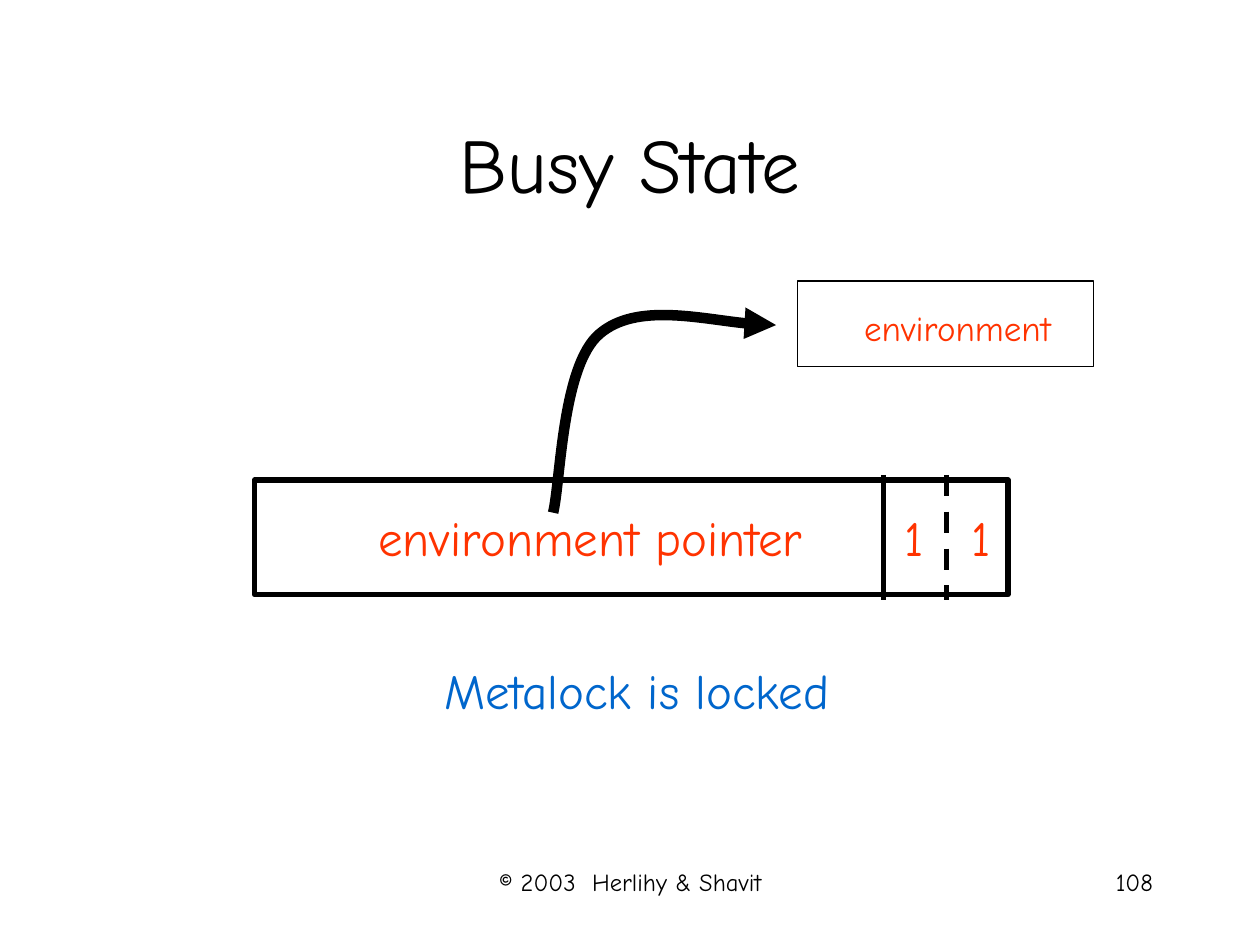
from dataclasses import dataclass

import pptx
import pptx.dml.color
import pptx.enum.dml
import pptx.enum.shapes
import pptx.enum.text
import pptx.oxml
import pptx.oxml.ns
import pptx.util

Pt = pptx.util.Pt
RGB = pptx.dml.color.RGBColor.from_string
ALIGN = pptx.enum.text.PP_ALIGN
ANCHOR = pptx.enum.text.MSO_ANCHOR
qn = pptx.oxml.ns.qn


@dataclass(frozen=True)
class Theme:
    font: str = "Comic Neue"
    ink: str = "000000"
    field: str = "FF3300"
    note: str = "0066CC"
    title: float = 44
    label: float = 28
    small: float = 20
    footer: float = 14
    thin: float = 0.75
    thick: float = 3
    arrow: float = 6


THEME = Theme()


def element(tag, **attributes):
    el = pptx.oxml.parse_xml(f"<a:{tag} {pptx.oxml.ns.nsdecls('a')}/>")
    for name, value in attributes.items():
        el.set(name, value)
    return el


def write(tf, text, size, color, align=ALIGN.CENTER):
    p = tf.paragraphs[0]
    p.alignment = align
    r = p.add_run()
    r.text = text
    r.font.name = THEME.font
    r.font.size = Pt(size)
    r.font.color.rgb = RGB(color)


def add_title(s, text):
    sp = s.shapes.title
    sp.left, sp.top, sp.width, sp.height = Pt(54), Pt(48), Pt(612), Pt(90)
    sp.text_frame.vertical_anchor = ANCHOR.MIDDLE
    write(sp.text_frame, text, THEME.title, THEME.ink)


def add_label(s, text, box, size, color):
    """One centred line in a box that hugs its text."""
    tf = s.shapes.add_textbox(*map(Pt, box)).text_frame
    tf.word_wrap = False
    tf.auto_size = pptx.enum.text.MSO_AUTO_SIZE.SHAPE_TO_FIT_TEXT
    write(tf, text, size, color)


def add_footer(s, text, left, width, align):
    tf = s.shapes.add_textbox(Pt(left), Pt(491.8), Pt(width), Pt(36)).text_frame
    tf.word_wrap = True
    write(tf, text, THEME.footer, THEME.ink, align)


def outline(sp, width):
    sp.fill.background()
    sp.line.color.rgb = RGB(THEME.ink)
    sp.line.width = Pt(width)
    sp.shadow.inherit = False


def add_frame(s, box, width):
    rect = pptx.enum.shapes.MSO_SHAPE.RECTANGLE
    outline(s.shapes.add_shape(rect, *map(Pt, box)), width)


def add_divider(s, x, top, bottom, dash=None):
    straight = pptx.enum.shapes.MSO_CONNECTOR.STRAIGHT
    line = s.shapes.add_connector(straight, Pt(x), Pt(top), Pt(x), Pt(bottom))
    line.line.color.rgb = RGB(THEME.ink)
    line.line.width = Pt(THEME.thick)
    line.line.dash_style = dash
    line._element.spPr.append(element("effectLst"))


def add_curved_arrow(s, start, controls):
    """Bezier arrow; each three control points make one curve segment."""
    builder = s.shapes.build_freeform(Pt(start[0]), Pt(start[1]))
    builder.add_line_segments([(Pt(x), Pt(y)) for x, y in controls], close=False)
    sp = builder.convert_to_shape()
    outline(sp, THEME.arrow)
    # Turn the straight segments into cubic curves
    steps = list(sp._element.iter(qn("a:lnTo")))
    for i in range(0, len(steps), 3):
        curve = element("cubicBezTo")
        steps[i].addprevious(curve)
        for step in steps[i:i + 3]:
            curve.append(step[0])
            step.getparent().remove(step)
    sp.line._get_or_add_ln().append(element("tailEnd", type="triangle"))


def main():
    prs = pptx.Presentation()
    prs.slide_width, prs.slide_height = Pt(720), Pt(540)
    s = prs.slides.add_slide(prs.slide_layouts[5])
    add_title(s, "Busy State")

    # Lock word: pointer field and two bits
    add_frame(s, (145.4, 274.3, 430.6, 65.5), THEME.thick)
    add_divider(s, 540.7, 271.4, 342.7, pptx.enum.dml.MSO_LINE.DASH)
    add_divider(s, 504.7, 271.4, 342.7)
    add_label(s, "Metalock is locked", (246.2, 373.7, 235.4, 41),
              THEME.label, THEME.note)
    for text, left, width in (("environment pointer", 203.8, 257),
                              ("1", 509.8, 25.2), ("1", 547.9, 25.2)):
        # The pointer label sits slightly right of its field's centre
        shift = 5 if width > 100 else 0
        add_label(s, text, (left + shift, 286.6, width, 41),
                  THEME.label, THEME.field)

    # Environment record and the pointer to it
    add_frame(s, (455.8, 160.6, 169.2, 49), THEME.thin)
    add_curved_arrow(s, (316.1, 293), [
        (320.4, 275.8), (321.1, 208.8), (342.7, 190.8),
        (363.6, 172.8), (422.6, 186.5), (443.5, 185.8)])
    add_label(s, "environment", (486.7, 171.4, 121, 31.7),
              THEME.small, THEME.field)

    # Footer
    add_footer(s, "© 2003  Herlihy & Shavit", 246.2, 228.2, ALIGN.CENTER)
    add_footer(s, "108", 516.2, 149.8, ALIGN.RIGHT)
    prs.save("out.pptx")


if __name__ == "__main__":
    main()
